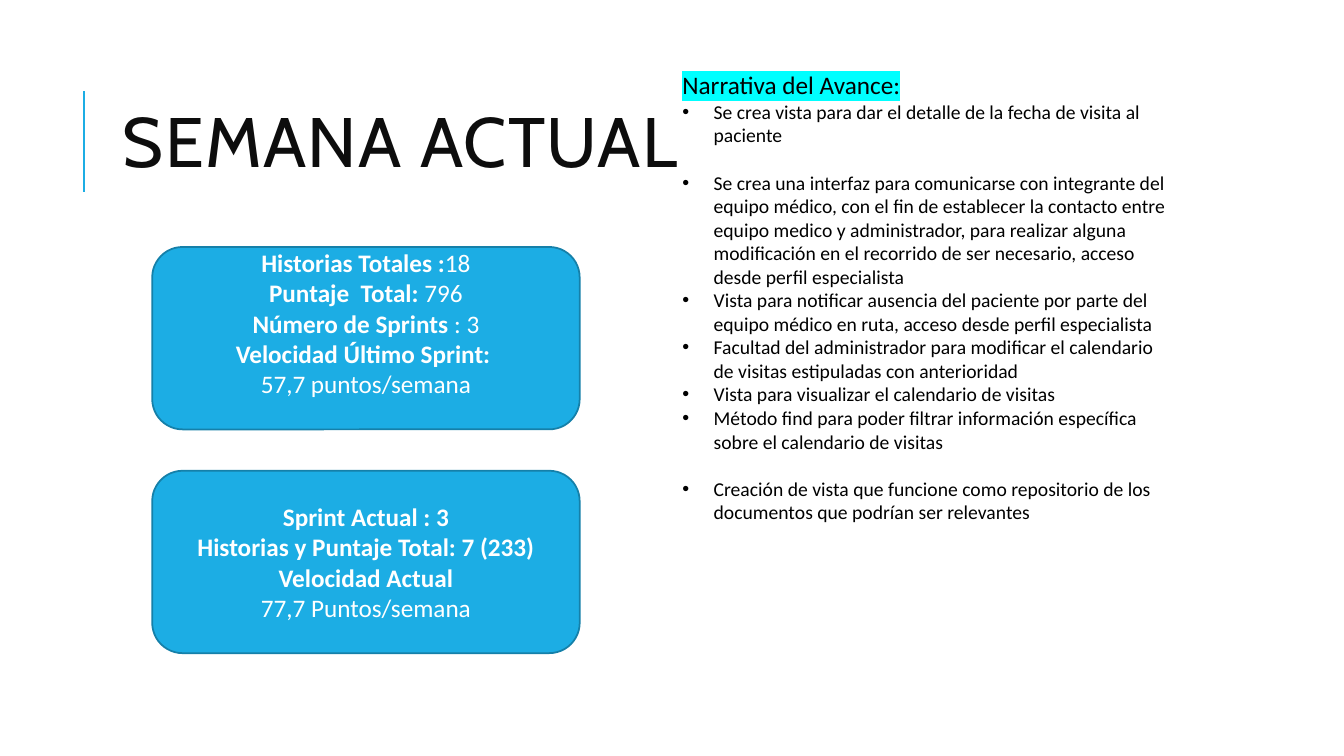
import pptx
import pptx.util
import pptx.dml.color
import pptx.enum.shapes
import pptx.enum.text
import pptx.oxml.ns
import lxml.etree

RGBColor = pptx.dml.color.RGBColor
ANCHOR = pptx.enum.text.MSO_ANCHOR
ALIGN = pptx.enum.text.PP_ALIGN
SHAPES = pptx.enum.shapes
Inches = pptx.util.Inches
Pt = pptx.util.Pt
qn = pptx.oxml.ns.qn

SKY = RGBColor(0x1C, 0xAD, 0xE4)
SKY_DARK = RGBColor(0x15, 0x80, 0xA9)
WHITE = RGBColor(0xFF, 0xFF, 0xFF)
BLACK = RGBColor(0x00, 0x00, 0x00)
INK = RGBColor(0x0D, 0x0D, 0x0D)
CYAN = RGBColor(0x00, 0xFF, 0xFF)

WIDTH, HEIGHT = 13.33, 7.5
TOP = 0.64
CARD_LEFT, CARD_TOP, CARD_WIDTH, CARD_HEIGHT = 1.51, 2.45, 4.24, 1.81
CARD_STEP = 2.22
LINE_18 = 0.3
BULLET_INDENT = 0.31
BLOCK_GAP = 17

# Each card line is a bold part and a regular part.
CARDS = [
    ([("Historias Totales :", "18"),
      ("Puntaje  Total: ", "796"),
      ("Número de Sprints ", ": 3"),
      ("Velocidad Último Sprint: ", ""),
      ("", "57,7 puntos/semana")], LINE_18),
    ([("Sprint Actual : 3", ""),
      ("Historias y Puntaje Total: 7 (233)", ""),
      ("Velocidad Actual", ""),
      ("", "77,7 Puntos/semana")], 0),
]

# Each advance has its text and the space above it in points.
ADVANCES = [
    ("Se crea vista para dar el detalle de la fecha de visita al paciente", 0),
    ("Se crea una interfaz para comunicarse con integrante del equipo médico, "
     "con el fin de establecer la contacto entre equipo medico y administrador, "
     "para realizar alguna modificación en el recorrido de ser necesario, "
     "acceso desde perfil especialista", BLOCK_GAP),
    ("Vista para notificar ausencia del paciente por parte del equipo médico "
     "en ruta, acceso desde perfil especialista", 0),
    ("Facultad del administrador para modificar el calendario de visitas "
     "estipuladas con anterioridad", 0),
    ("Vista para visualizar el calendario de visitas", 0),
    ("Método find para poder filtrar información específica sobre el "
     "calendario de visitas", 0),
    ("Creación de vista que funcione como repositorio de los documentos que "
     "podrían ser relevantes", BLOCK_GAP),
]


def add_text(paragraph, text, size=18, font="Calibri", color=BLACK, bold=False,
             highlight=None, spacing=None):
    """Append one formatted run to a paragraph."""
    run = paragraph.add_run()
    run.text = text
    run.font.size = Pt(size)
    run.font.name = font
    run.font.bold = bold
    run.font.color.rgb = color
    properties = run.font._element
    if spacing:
        properties.set("spc", str(spacing * 100))
    if highlight is not None:
        marker = lxml.etree.Element(qn("a:highlight"))
        lxml.etree.SubElement(marker, qn("a:srgbClr"), val=str(highlight))
        properties.find(qn("a:solidFill")).addnext(marker)


def next_paragraph(frame, index):
    """Return the first paragraph of a frame, or a new one after it."""
    return frame.add_paragraph() if index else frame.paragraphs[0]


def add_frame(slide, left, top, width, height, anchor=ANCHOR.TOP):
    """Add a wrapping text box and return its text frame."""
    box = slide.shapes.add_textbox(*map(Inches, (left, top, width, height)))
    box.text_frame.word_wrap = True
    box.text_frame.vertical_anchor = anchor
    return box.text_frame


def make_bullet(paragraph):
    """Give a paragraph a hanging round bullet."""
    properties = paragraph._p.get_or_add_pPr()
    indent = Inches(BULLET_INDENT)
    properties.set("marL", str(indent))
    properties.set("indent", str(-indent))
    lxml.etree.SubElement(properties, qn("a:buFont"), typeface="Arial")
    lxml.etree.SubElement(properties, qn("a:buChar"), char="•")


def add_title(slide):
    """Add the accent line and the slide title."""
    accent = slide.shapes.add_connector(
        SHAPES.MSO_CONNECTOR.STRAIGHT, *map(Inches, (0.83, 1.9, 0.83, 0.9)))
    accent.line.color.rgb = SKY
    accent.line.width = Pt(1.5)
    lxml.etree.SubElement(accent._element.spPr, qn("a:effectLst"))
    title = add_frame(slide, 1.12, TOP, 10.63, 1.64, ANCHOR.MIDDLE).paragraphs[0]
    title.line_spacing = 0.8
    add_text(title, "SEMANA ACTUAL", size=50, font="Cabin", color=INK, spacing=1)


def add_card(slide, row, lines, space_below):
    """Add one rounded card of sprint figures."""
    card = slide.shapes.add_shape(
        SHAPES.MSO_SHAPE.ROUNDED_RECTANGLE, Inches(CARD_LEFT),
        Inches(CARD_TOP + row * CARD_STEP), Inches(CARD_WIDTH), Inches(CARD_HEIGHT))
    card.shadow.inherit = False
    card.fill.solid()
    card.fill.fore_color.rgb = SKY
    card.line.color.rgb = SKY_DARK
    card.line.width = Pt(1.25)
    frame = card.text_frame
    frame.word_wrap = True
    frame.vertical_anchor = ANCHOR.MIDDLE
    frame.margin_bottom = Inches(0.05 + space_below)
    for index, (label, figure) in enumerate(lines):
        paragraph = next_paragraph(frame, index)
        paragraph.alignment = ALIGN.CENTER
        for text, bold in ((label, True), (figure, False)):
            if text:
                add_text(paragraph, text, color=WHITE, bold=bold)


def add_narrative(slide):
    """Add the highlighted heading and the list of advances."""
    frame = add_frame(slide, 6.67, TOP, 5.02, 6.4)
    add_text(frame.paragraphs[0], "Narrativa del Avance:", highlight=CYAN)
    for text, gap in ADVANCES:
        paragraph = frame.add_paragraph()
        paragraph.space_before = Pt(gap)
        make_bullet(paragraph)
        add_text(paragraph, text, size=14)


def main():
    """Build the slide and save it."""
    deck = pptx.Presentation()
    deck.slide_width, deck.slide_height = Inches(WIDTH), Inches(HEIGHT)
    slide = deck.slides.add_slide(deck.slide_layouts[6])
    add_title(slide)
    for row, (lines, space_below) in enumerate(CARDS):
        add_card(slide, row, lines, space_below)
    add_narrative(slide)
    deck.save("out.pptx")


main()
